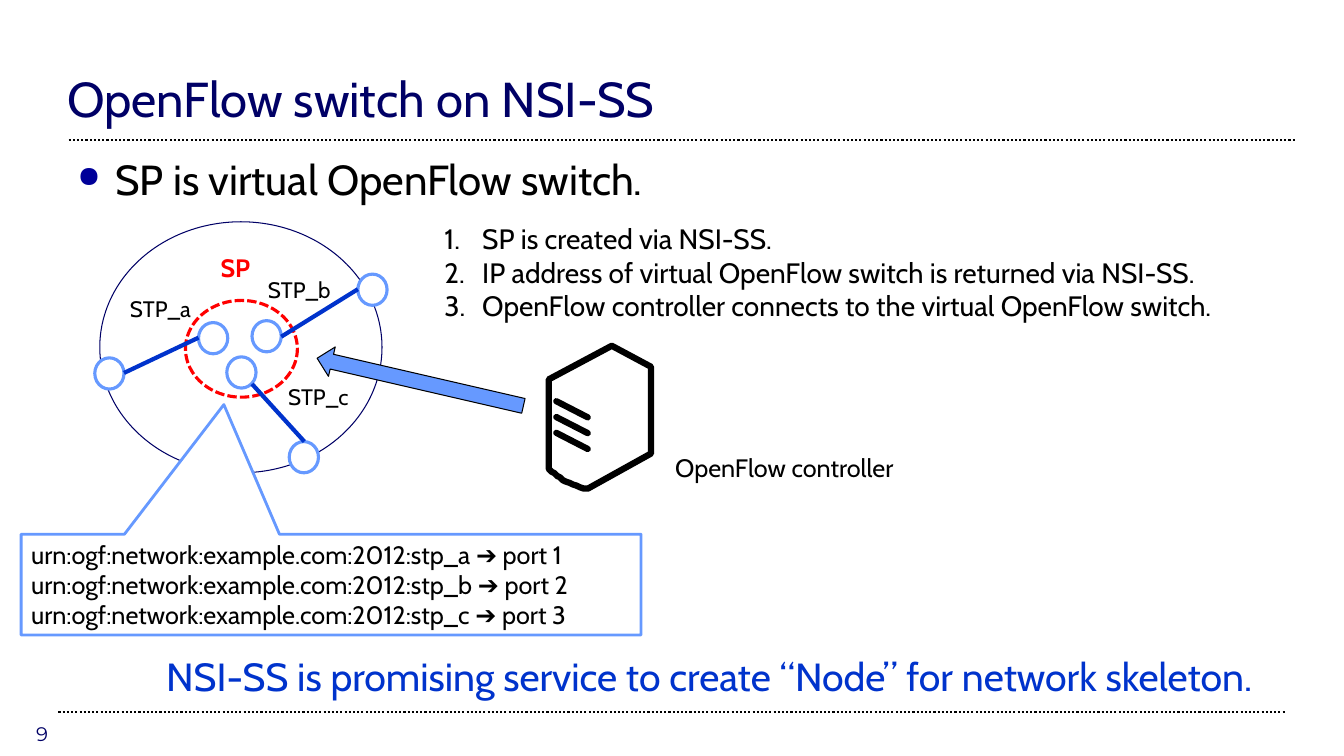
from lxml import etree
from pptx import Presentation
from pptx import util as u
from pptx.dml.color import RGBColor
from pptx.enum import dml, shapes, text
from pptx.oxml import ns

COLORS = {"navy": "000066", "bullet": "000099", "blue": "0033CC", "sky": "6699FF",
          "red": "FF0000", "black": "000000", "white": "FFFFFF"}
FONT = "Cabin"
DOTS = dml.MSO_LINE.ROUND_DOT
DASHES = dml.MSO_LINE.SQUARE_DOT

deck = Presentation()
deck.slide_width, deck.slide_height = u.Pt(960), u.Pt(540)
page = deck.slides.add_slide(deck.slide_layouts[6])


def write(box, lines, size, color, font=FONT, bold=False, bullet=None, wrap=False,
          anchor=text.MSO_ANCHOR.TOP):
    frame = box.text_frame
    frame.word_wrap = wrap
    frame.vertical_anchor = anchor
    for index, line in enumerate(lines):
        para = frame.paragraphs[0] if index == 0 else frame.add_paragraph()
        para.alignment = text.PP_ALIGN.LEFT
        if bullet:
            props = para._p.get_or_add_pPr()
            props.set("marL", str(u.Pt(27)))
            props.set("indent", str(u.Pt(-27)))
            if bullet == "number":
                etree.SubElement(props, ns.qn("a:buAutoNum"), type="arabicPeriod")
            else:
                tint = etree.SubElement(props, ns.qn("a:buClr"))
                etree.SubElement(tint, ns.qn("a:srgbClr"), val=COLORS["bullet"])
                etree.SubElement(props, ns.qn("a:buSzPct"), val="70000")
                etree.SubElement(props, ns.qn("a:buChar"), char=bullet)
        span = para.add_run()
        span.text = line
        span.font.name = font
        span.font.size = u.Pt(size)
        span.font.bold = bold
        span.font.color.rgb = RGBColor.from_string(COLORS[color])


def draw_line(parent, x1, y1, x2, y2, color, width, dash=None):
    line = parent.add_connector(shapes.MSO_CONNECTOR.STRAIGHT,
                                u.Pt(x1), u.Pt(y1), u.Pt(x2), u.Pt(y2))
    line.line.color.rgb = RGBColor.from_string(COLORS[color])
    line.line.width = u.Pt(width)
    if dash:
        line.line.dash_style = dash
    etree.SubElement(line._element.spPr, ns.qn("a:effectLst"))
    return line


for left, top in [(41.8, 508.3), (49, 100.1)]:
    draw_line(page.shapes, left, top, left + 877, top, "black", 1.5, DOTS)

bottom = text.MSO_ANCHOR.BOTTOM
for left, top, width, height, words, size, color, font, bullet, anchor in [
    (41, 37.4, 877.7, 56.9, "OpenFlow switch on NSI-SS", 35, "navy", FONT, None, bottom),
    (48.2, 105.8, 864, 396.7, "SP is virtual OpenFlow switch.", 30, "black", FONT, "●",
     text.MSO_ANCHOR.TOP),
    (18.7, 514.1, 64.1, 21.6, "9", 14, "navy", "Montserrat", None, bottom),
]:
    box = page.shapes.add_textbox(u.Pt(left), u.Pt(top), u.Pt(width), u.Pt(height))
    write(box, [words], size, color, font, bullet=bullet, wrap=True, anchor=anchor)

PORT = (20.9, 22.3)
inner_ports = [(141.8, 230.4), (180, 229), (162, 254.9)]
outer_ports = [(67.7, 255.6), (206.6, 315.4), (255.6, 195.8)]
ellipses = [(*spot, *PORT, "sky", 2.25, None, "white") for spot in inner_ports]
ellipses += [(132.5, 214.6, 79.9, 69.1, "red", 2.25, DASHES, None),
             (71.3, 158.4, 201.6, 179.3, "navy", 0.75, None, None)]
ellipses += [(*spot, *PORT, "sky", 2.25, None, "white") for spot in outer_ports]
for left, top, width, height, color, weight, dash, fill in ellipses:
    oval = page.shapes.add_shape(shapes.MSO_SHAPE.OVAL, u.Pt(left), u.Pt(top),
                                 u.Pt(width), u.Pt(height))
    oval.shadow.inherit = False
    oval.line.color.rgb = RGBColor.from_string(COLORS[color])
    oval.line.width = u.Pt(weight)
    if dash:
        oval.line.dash_style = dash
    if fill:
        oval.fill.solid()
        oval.fill.fore_color.rgb = RGBColor.from_string(COLORS[fill])
    else:
        oval.fill.background()

for ends in [(88.6, 266.4, 141.8, 241.2), (200.9, 240.5, 255.6, 206.6),
             (180, 274.3, 217.4, 315.4)]:
    draw_line(page.shapes, *ends, "blue", 3)

steps = ["SP is created via NSI-SS.",
         "IP address of virtual OpenFlow switch is returned via NSI-SS.",
         "OpenFlow controller connects to the virtual OpenFlow switch."]
promise = "NSI-SS is promising service to create “Node” for network skeleton."
for left, top, width, height, lines, size, color, bold, bullet in [
    (150.5, 176.4, 46.8, 38.2, ["SP"], 18, "red", True, None),
    (85.7, 207.4, 59, 26.6, ["STP_a"], 16, "black", False, None),
    (184.3, 193.7, 59.8, 26.6, ["STP_b"], 16, "black", False, None),
    (198.7, 270, 58.3, 26.6, ["STP_c"], 16, "black", False, None),
    (310.3, 154.8, 589, 79.9, steps, 20, "black", False, "number"),
    (475.2, 319.7, 175, 28.8, ["OpenFlow controller"], 18, "black", False, None),
    (111.6, 462.2, 843.8, 41, [promise], 28, "blue", False, None),
]:
    box = page.shapes.add_textbox(u.Pt(left), u.Pt(top), u.Pt(width), u.Pt(height))
    write(box, lines, size, color, bold=bold, bullet=bullet)
    box.text_frame.auto_size = text.MSO_AUTO_SIZE.SHAPE_TO_FIT_TEXT

callout = page.shapes.add_shape(shapes.MSO_SHAPE.RECTANGULAR_CALLOUT, u.Pt(15.1),
                                u.Pt(381.6), u.Pt(442.8), u.Pt(72))
callout.adjustments[0], callout.adjustments[1] = -0.173, -1.786
arrow = page.shapes.add_shape(shapes.MSO_SHAPE.RIGHT_ARROW, u.Pt(224.6), u.Pt(262.1),
                              u.Pt(151.2), u.Pt(21.6))
arrow.rotation = 193
for shape, fill, color, weight in [(callout, "white", "sky", 2),
                                   (arrow, "sky", "black", 0.75)]:
    shape.shadow.inherit = False
    shape.fill.solid()
    shape.fill.fore_color.rgb = RGBColor.from_string(COLORS[fill])
    shape.line.color.rgb = RGBColor.from_string(COLORS[color])
    shape.line.width = u.Pt(weight)
ports = [f"urn:ogf:network:example.com:2012:stp_{name} ➔ port {number}"
         for number, name in enumerate("abc", 1)]
write(callout, ports, 18, "black", anchor=text.MSO_ANCHOR.MIDDLE)

controller = page.shapes.add_group_shape()
curve = [(391.7, 334.8), (398.9, 342), (409, 347), (419.8, 349.2)]
outline = [(437, 247), (391.7, 271.4)]
for step in range(13):
    t = step / 12
    weights = [(1 - t) ** 3, 3 * t * (1 - t) ** 2, 3 * t * t * (1 - t), t ** 3]
    outline.append(tuple(sum(w * point[axis] for w, point in zip(weights, curve))
                         for axis in (0, 1)))
outline.append((465.1, 324))
builder = controller.shapes.build_freeform(465.1, 262.1, scale=u.Pt(1))
builder.add_line_segments(outline, close=True)
case = builder.convert_to_shape()
case.shadow.inherit = False
case.fill.background()
case.line.color.rgb = RGBColor.from_string(COLORS["black"])
case.line.width = u.Pt(4.5)
strokes = [case]
for row in range(3):
    top = 286.6 + 11.3 * row
    strokes.append(draw_line(controller.shapes, 419.8, top + 11.5, 397.4, top, "black", 4.5))
for stroke in strokes:
    outline_props = stroke.get_or_add_ln()
    outline_props.set("cap", "rnd")
    etree.SubElement(outline_props, ns.qn("a:round"))

deck.save("out.pptx")
